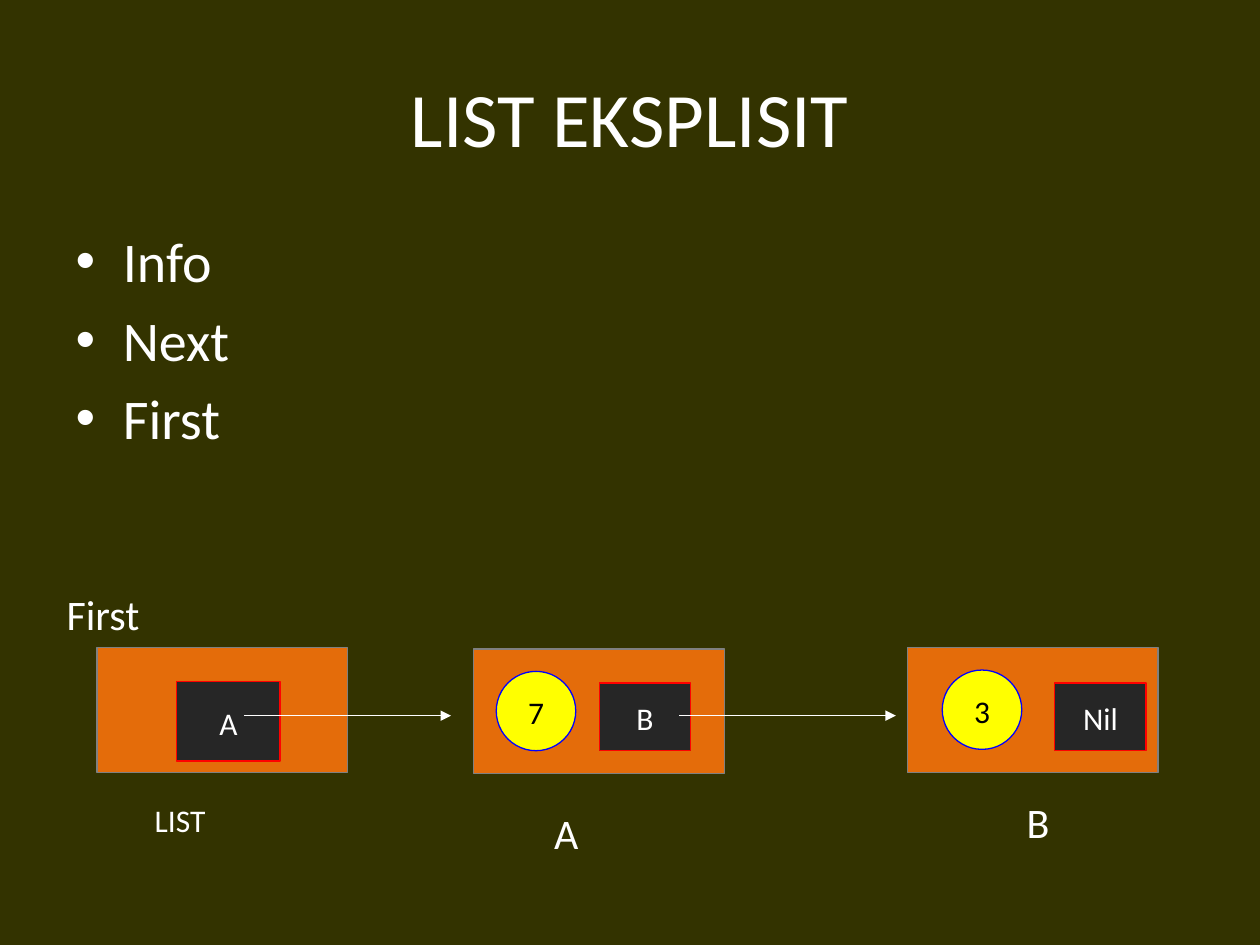
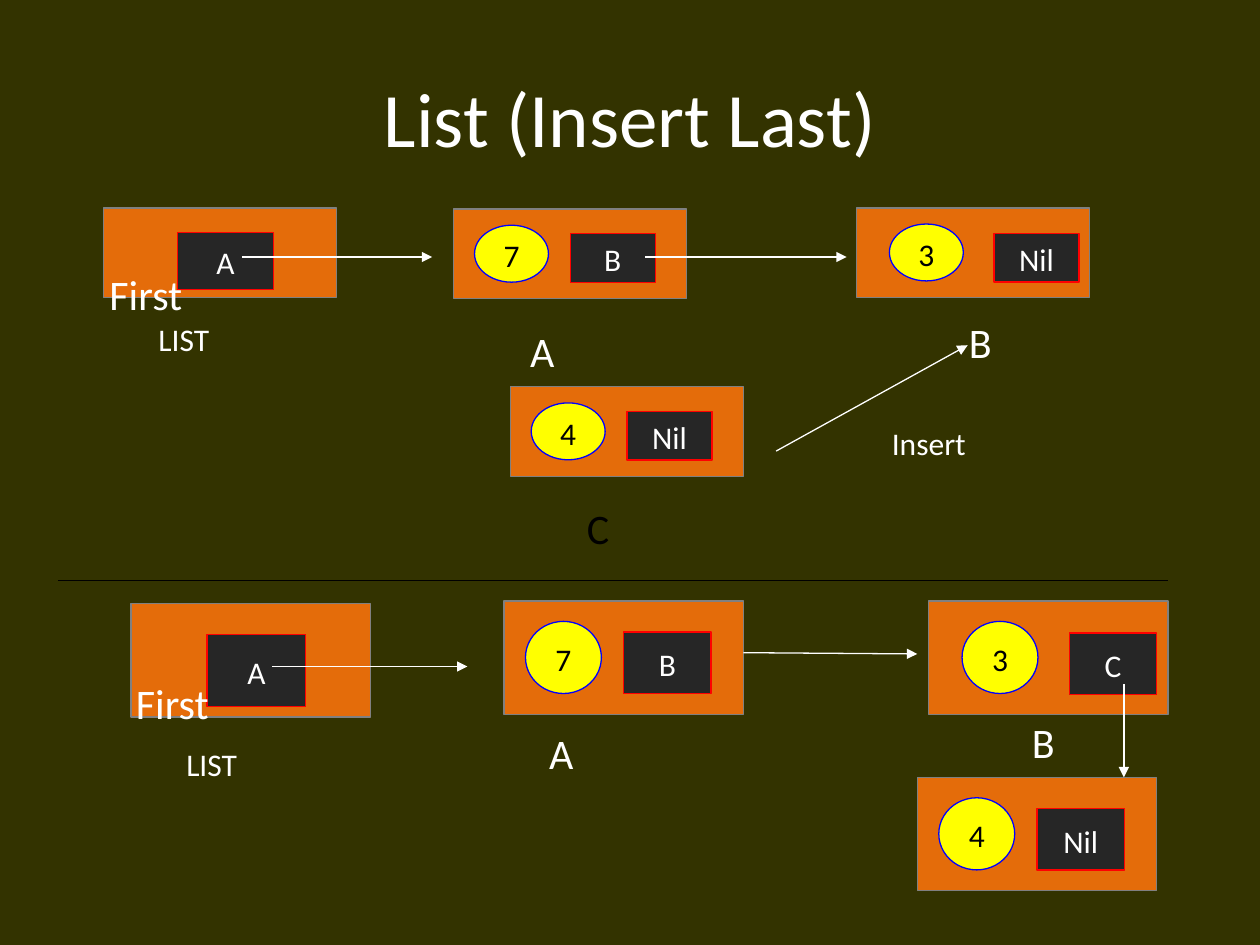
from pptx import Presentation
from pptx.dml.color import RGBColor
from pptx.enum.shapes import MSO_CONNECTOR as LINK, MSO_SHAPE as SHAPE
from pptx.enum.text import MSO_ANCHOR as ANCHOR, PP_ALIGN as ALIGN
from pptx.oxml.ns import qn
from pptx.util import Inches, Pt
from lxml.etree import SubElement

OLIVE, ORANGE, GRAY, YELLOW = "333300", "E46C0A", "808080", "FFFF00"
BLUE, CHARCOAL, RED = "0000FF", "262626", "FF0000"
WHITE, BLACK = "FFFFFF", "000000"
FONT = "Calibri"


def paint(color_format, color):
    if hasattr(color_format, "solid"):
        color_format.solid()
        color_format = color_format.fore_color
    elif hasattr(color_format, "color"):
        color_format = color_format.color
    color_format.rgb = RGBColor.from_string(color)


def write(shape, text, size=18, color=WHITE, align=None, anchor=None,
          wrap=True, top=None):
    frame = shape.text_frame
    frame.text = text
    frame.word_wrap = wrap
    if anchor is not None:
        frame.vertical_anchor = anchor
    if top is not None:
        frame.margin_left = frame.margin_right = Inches(0.1)
        frame.margin_top, frame.margin_bottom = Inches(top), Inches(0.05)
    frame.paragraphs[0].space_before = Pt(0)
    for paragraph in frame.paragraphs:
        paragraph.alignment = align
        for run in paragraph.runs:
            run.font.name = FONT
            run.font.size = Pt(size)
            paint(run.font, color)


prs = Presentation()
prs.slide_width, prs.slide_height = Inches(10), Inches(7.5)
paint(prs.slide_master.background.fill, OLIVE)

explicit_list = prs.slides.add_slide(prs.slide_layouts[1])
insert_last = prs.slides.add_slide(prs.slide_layouts[5])

for slide, heading in ((explicit_list, "LIST EKSPLISIT"),
                       (insert_last, "List (Insert Last)")):
    title = slide.shapes.title
    title.left, title.top = Inches(0.5), Inches(0.3)
    title.width, title.height = Inches(9), Inches(1.25)
    write(title, heading, size=44, align=ALIGN.CENTER, anchor=ANCHOR.MIDDLE)

members = explicit_list.placeholders[1]
members.left, members.top = Inches(0.5), Inches(1.75)
members.width, members.height = Inches(9), Inches(5.15)
write(members, "Info\nNext\nFirst", size=32)

INFO = (SHAPE.OVAL, 0.317, 0.636, YELLOW, BLUE, BLACK)
NEXT = (SHAPE.RECTANGLE, 0.365, 0.545, CHARCOAL, RED, WHITE)
FIRST = (SHAPE.RECTANGLE, 0.412, 0.636, CHARCOAL, RED, WHITE)
HEAD = [(FIRST, 0.318, 0.273)]
INNER = [(INFO, 0.09, 0.18), (NEXT, 0.5, 0.273)]
LAST = [(INFO, 0.14, 0.18), (NEXT, 0.588, 0.283)]

chains = [
    dict(
        slide=explicit_list, size=(1.99, 0.99),
        nodes=[(HEAD, 0.77, 5.14, "A"), (INNER, 3.76, 5.15, "7", "B"),
               (LAST, 7.2, 5.14, "3", "Nil")],
        arrows=[(1.94, 5.68, 3.58, 5.68), (5.39, 5.68, 7.11, 5.68)],
        labels=[("A", 4.3, 6.34, 0.33, 0.42, 24, WHITE),
                ("B", 8.05, 6.25, 0.33, 0.42, 24, WHITE),
                ("First", 0.43, 4.6, 1.06, 0.42, 24, WHITE),
                ("LIST", 1.13, 6.31, 1.36, 0.34, 18, WHITE)],
    ),
    dict(
        slide=insert_last, size=(1.85, 0.71),
        nodes=[(HEAD, 0.82, 1.65, "A"), (INNER, 3.6, 1.66, "7", "B"),
               (LAST, 6.8, 1.65, "3", "Nil"), (INNER, 4.05, 3.07, "4", "Nil")],
        arrows=[(1.92, 2.04, 3.43, 2.04), (5.12, 2.04, 6.72, 2.04),
                (6.16, 3.58, 7.68, 2.74)],
        labels=[("A", 4.11, 2.51, 0.31, 0.3, 24, WHITE),
                ("B", 7.59, 2.44, 0.31, 0.3, 24, WHITE),
                ("First", 0.77, 2.06, 0.98, 0.3, 24, WHITE),
                ("LIST", 1.16, 2.49, 1.26, 0.24, 18, WHITE),
                ("C", 4.56, 3.92, 0.31, 0.3, 24, BLACK),
                ("Insert", 6.98, 3.32, 0.85, 0.24, 18, WHITE)],
    ),
    dict(
        slide=insert_last, size=(1.9, 0.9),
        nodes=[(HEAD, 1.04, 4.79, "A"), (INNER, 4, 4.77, "7", "B"),
               (LAST, 7.37, 4.77, "3", "C"), (INNER, 7.28, 6.17, "4", "Nil")],
        arrows=[(2.16, 5.29, 3.71, 5.29), (8.92, 5.43, 8.92, 6.17),
                (5.9, 5.18, 7.28, 5.19)],
        divider=(0.46, 4.61, 9.27, 4.61),
        labels=[("A", 4.26, 5.7, 0.31, 0.39, 24, WHITE),
                ("B", 8.09, 5.62, 0.31, 0.39, 24, WHITE),
                ("First", 0.98, 5.31, 1.01, 0.39, 24, WHITE),
                ("LIST", 1.38, 5.86, 1.29, 0.31, 18, WHITE)],
    ),
]

for chain in chains:
    shapes = chain["slide"].shapes
    width, height = chain["size"]

    for fields, x, y, *values in chain["nodes"]:
        pieces = [(SHAPE.RECTANGLE, x, y, width, height, ORANGE, GRAY, WHITE, "")]
        for (kind, across, down, *colors), dx, dy in fields:
            pieces.append((kind, x + dx * width, y + dy * height,
                           across * width, down * height, *colors,
                           values[len(pieces) - 1]))
        for kind, left, top, wide, high, fill, outline, ink, value in pieces:
            piece = shapes.add_shape(kind, Inches(left), Inches(top),
                                     Inches(wide), Inches(high))
            piece.shadow.inherit = False
            paint(piece.fill, fill)
            paint(piece.line, outline)
            piece.line.width = Pt(0.75)
            if value:
                write(piece, value, color=ink, align=ALIGN.CENTER,
                      anchor=ANCHOR.MIDDLE, wrap=False, top=0.07)

    strokes = [(ends, WHITE) for ends in chain["arrows"]]
    if "divider" in chain:
        strokes.append((chain["divider"], BLACK))
    for ends, color in strokes:
        stroke = shapes.add_connector(LINK.STRAIGHT, *map(Inches, ends))
        paint(stroke.line, color)
        stroke.line.width = Pt(0.75)
        properties = stroke._element.spPr
        if color == WHITE:
            SubElement(properties.find(qn("a:ln")), qn("a:tailEnd"), type="triangle")
        SubElement(properties, qn("a:effectLst"))

    for text, left, top, wide, high, size, color in chain["labels"]:
        label = shapes.add_textbox(Inches(left), Inches(top),
                                   Inches(wide), Inches(high))
        write(label, text, size=size, color=color,
              top=0.07 if size == 24 else 0.05)

prs.save("out.pptx")
